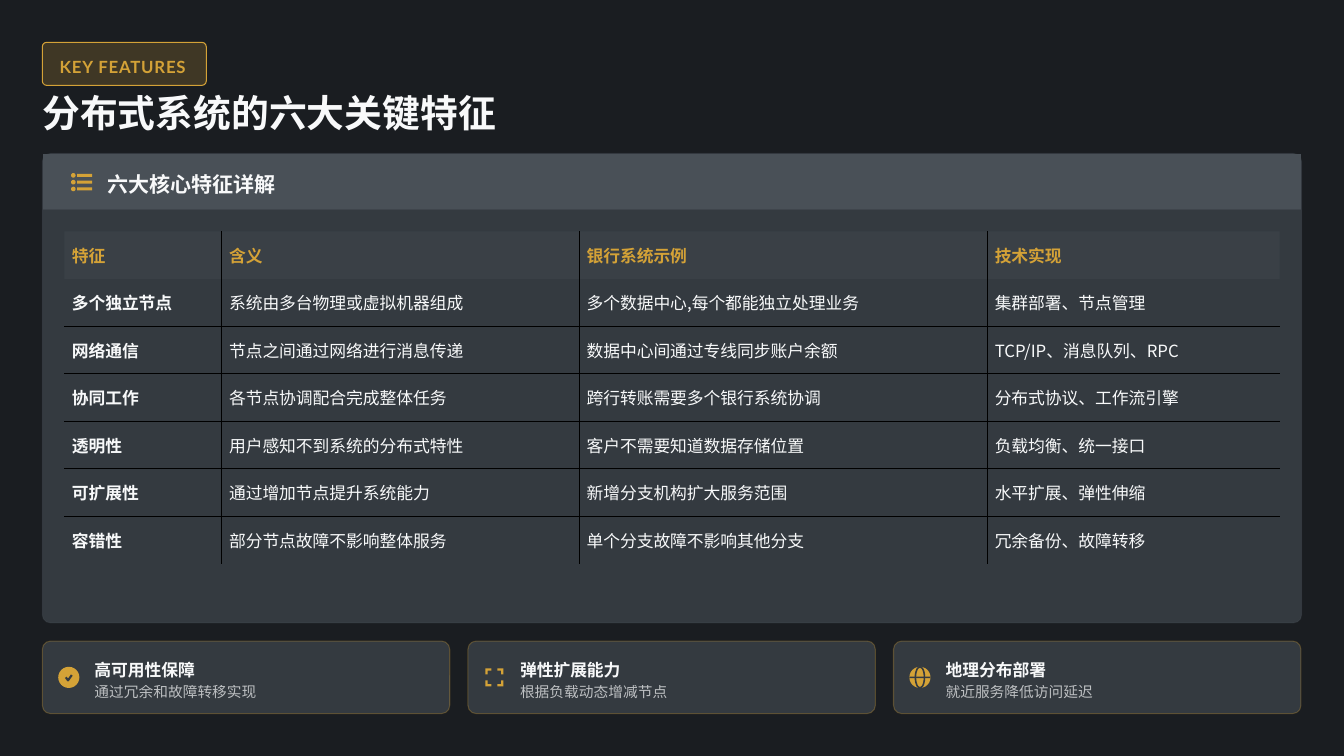
"""Build the slide on the six key features of distributed systems."""
from dataclasses import dataclass
from itertools import product
from math import cos, pi, sin
from typing import Callable

from lxml import etree
from pptx import Presentation
from pptx.dml.color import RGBColor
from pptx.enum.shapes import MSO_SHAPE
from pptx.enum.text import MSO_ANCHOR, MSO_AUTO_SIZE, PP_ALIGN
from pptx.oxml.ns import qn
from pptx.util import Inches, Pt

RECT, ROUND, OVAL = MSO_SHAPE.RECTANGLE, MSO_SHAPE.ROUNDED_RECTANGLE, MSO_SHAPE.OVAL
MIDDLE, LEFT, FIXED = MSO_ANCHOR.MIDDLE, PP_ALIGN.LEFT, MSO_AUTO_SIZE.NONE

DARK = RGBColor(0x1A, 0x1D, 0x21)
GOLD = RGBColor(0xD4, 0xA2, 0x37)
WHITE = RGBColor(0xF8, 0xF9, 0xFA)
PANEL = RGBColor(0x34, 0x3A, 0x40)
STEEL = RGBColor(0x49, 0x50, 0x57)

LATO = {"name": "Lato", "bold": True}
NOTO = {"name": "Noto Sans CJK SC", "size": Pt(16)}
FRAME = {"margin_left": 0, "margin_right": 0, "margin_top": 0, "margin_bottom": 0,
         "word_wrap": True, "auto_size": FIXED, "vertical_anchor": MIDDLE}

EDGE, GAP = 0.56, 5.63
COLS = (2.08, 4.73, 5.4, 3.87)
ROWS = (
    ("特征", "含义", "银行系统示例", "技术实现"),
    ("多个独立节点", "系统由多台物理或虚拟机器组成", "多个数据中心,每个都能独立处理业务", "集群部署、节点管理"),
    ("网络通信", "节点之间通过网络进行消息传递", "数据中心间通过专线同步账户余额", "TCP/IP、消息队列、RPC"),
    ("协同工作", "各节点协调配合完成整体任务", "跨行转账需要多个银行系统协调", "分布式协议、工作流引擎"),
    ("透明性", "用户感知不到系统的分布式特性", "客户不需要知道数据存储位置", "负载均衡、统一接口"),
    ("可扩展性", "通过增加节点提升系统能力", "新增分支机构扩大服务范围", "水平扩展、弹性伸缩"),
    ("容错性", "部分节点故障不影响整体服务", "单个分支故障不影响其他分支", "冗余备份、故障转移"),
)


@dataclass
class Card:
    head: str
    note: str
    icon: Callable


def apply(item, form: dict) -> None:
    for key, val in form.items():
        setattr(item, key, val)


def fade(node, share: int) -> None:
    for hue in node.iter(qn("a:srgbClr")):
        etree.SubElement(hue, qn("a:alpha"), val=str(share * 1000))


def paint(shape, hue=None, line=None, width: float = 1) -> None:
    shape.shadow.inherit = False
    if hue is None:
        shape.fill.background()
    else:
        shape.fill.solid()
        shape.fill.fore_color.rgb = hue
    if line is None:
        shape.line.fill.background()
    else:
        shape.line.color.rgb = line
        shape.line.width = Pt(width)


def box(slide, kind, x: float, y: float, w: float, h: float, hue=None, line=None,
        width: float = 1, curve: float = 0):
    shape = slide.shapes.add_shape(kind, Inches(x), Inches(y), Inches(w), Inches(h))
    if curve:
        shape.adjustments[0] = curve / min(w, h)
    paint(shape, hue, line, width)
    return shape


def trace(slide, loops: list, close: bool, *looks) -> None:
    first, *rest = [[(Inches(x), Inches(y)) for x, y in loop] for loop in loops]
    pen = slide.shapes.build_freeform(*first[0])
    pen.add_line_segments(first[1:], close)
    for loop in rest:
        pen.move_to(*loop[0])
        pen.add_line_segments(loop[1:], close)
    paint(pen.convert_to_shape(), *looks)


def write(shape, text: str, size: int, hue: RGBColor, space: float, **form):
    frame = shape.text_frame
    apply(frame, FRAME)
    para = frame.paragraphs[0]
    apply(para, {"alignment": LEFT, "line_spacing": space})
    run = para.add_run()
    run.text = text
    apply(run.font, {**LATO, "size": Pt(size), **form})
    run.font.color.rgb = hue
    return shape.element.find(".//" + qn("a:rPr"))


def label(slide, x: float, y: float, w: float, h: float, *words, **form):
    shape = slide.shapes.add_textbox(Inches(x), Inches(y), Inches(w), Inches(h))
    return write(shape, *words, **form)


def check(slide, x: float, y: float) -> None:
    box(slide, OVAL, x - 0.14, y - 0.14, 0.28, 0.28, GOLD)
    tick = [(x - 0.04, y), (x - 0.01, y + 0.04), (x + 0.04, y - 0.03)]
    trace(slide, [tick], False, None, PANEL, 2)


def expand(slide, x: float, y: float) -> None:
    angle = ((0.04, 0.12), (0.12, 0.12), (0.12, 0.04), (0.09, 0.04), (0.09, 0.09), (0.04, 0.09))
    loops = [[(x + i * a, y + j * b) for a, b in angle]
             for i, j in product((-1, 1), repeat=2)]
    trace(slide, loops, True, GOLD)


def globe(slide, x: float, y: float) -> None:
    box(slide, OVAL, x - 0.14, y - 0.14, 0.28, 0.28, GOLD)
    box(slide, OVAL, x - 0.06, y - 0.14, 0.12, 0.28, line=PANEL, width=1.5)
    box(slide, RECT, x - 0.14, y - 0.01, 0.28, 0.02, PANEL)


def bullets(slide, x: float, y: float) -> None:
    loops = []
    for row in range(3):
        mid = y + 0.09 * row
        turns = [pi * step / 8 for step in range(16)]
        loops.append([(x + 0.03 + 0.03 * cos(turn), mid + 0.03 * sin(turn)) for turn in turns])
        loops.append([(x + 0.08, mid - 0.02), (x + 0.28, mid - 0.02),
                      (x + 0.28, mid + 0.02), (x + 0.08, mid + 0.02)])
    trace(slide, loops, True, GOLD)


def edges(cell, row: int, col: int) -> None:
    last = len(ROWS) - 1
    shown = {"lnL": col > 0, "lnR": col < len(COLS) - 1, "lnT": row > 1, "lnB": 0 < row < last}
    props = cell.get_or_add_tcPr()
    for spot, (tag, seen) in enumerate(shown.items()):
        line = etree.Element(qn("a:" + tag), w=str(Pt(1)))
        if seen:
            fill = etree.SubElement(line, qn("a:solidFill"))
            etree.SubElement(fill, qn("a:srgbClr"), val="000000")
        else:
            etree.SubElement(line, qn("a:noFill"))
        props.insert(spot, line)


def grid(slide) -> None:
    frame = slide.shapes.add_table(len(ROWS), len(COLS), Inches(0.85), Inches(3.06),
                                   Inches(sum(COLS)), Inches(4.4))
    table = frame.table
    for col, width in zip(table.columns, COLS):
        col.width = Inches(width)
    nodes = frame.element.iter(qn("a:tc"))
    for (row, col), node in zip(product(range(len(ROWS)), range(len(COLS))), nodes):
        cell = table.cell(row, col)
        cell.vertical_anchor = MIDDLE
        run = cell.text_frame.paragraphs[0].add_run()
        run.text = ROWS[row][col]
        apply(run.font, {**NOTO, "bold": row == 0 or col == 0})
        run.font.color.rgb = WHITE if row else GOLD
        if row:
            cell.fill.background()
        else:
            cell.fill.solid()
            cell.fill.fore_color.rgb = STEEL
            fade(node.tcPr, 30)
        edges(node, row, col)


def tile(slide, card: Card, x: float) -> None:
    shape = box(slide, ROUND, x, 8.48, 5.39, 0.96, PANEL, GOLD, curve=0.11)
    fade(shape.element.spPr.find(qn("a:ln")), 30)
    card.icon(slide, x + 0.35, 8.96)
    label(slide, x + 0.69, 8.65, 2.25, 0.33, card.head, 16, WHITE, 1.3)
    fade(label(slide, x + 0.69, 8.99, 2.24, 0.28, card.note, 14, WHITE, 1.2, bold=False), 70)


def main() -> None:
    deck = Presentation()
    apply(deck, {"slide_width": Inches(17.78), "slide_height": Inches(10)})
    slide = deck.slides.add_slide(deck.slide_layouts[5])
    slide.background.fill.solid()
    slide.background.fill.fore_color.rgb = DARK

    badge = box(slide, ROUND, EDGE, EDGE, 2.17, 0.57, GOLD, GOLD, curve=0.06)
    fade(badge.element.spPr.find(qn("a:solidFill")), 20)
    label(slide, 0.79, 0.7, 1.82, 0.29, "KEY FEATURES", 16, GOLD, 1.3).set("spc", "80")
    title = slide.shapes.title
    apply(title, {"left": Inches(EDGE), "top": Inches(1.25),
                  "width": Inches(16.92), "height": Inches(0.56)})
    write(title, "分布式系统的六大关键特征", 36, WHITE, 0.9)

    panel = box(slide, ROUND, EDGE, 2.03, 16.66, 6.21, PANEL, STEEL, curve=0.11)
    fade(panel.element.spPr.find(qn("a:ln")), 30)
    box(slide, RECT, 0.57, 2.04, 16.64, 0.73, STEEL)
    fade(box(slide, RECT, 0.57, 2.77, 16.64, 0.01, STEEL).element.spPr, 50)
    bullets(slide, 0.94, 2.32)
    label(slide, 1.42, 2.21, 15.6, 0.39, "六大核心特征详解", 20, WHITE, 1.2)
    grid(slide)

    cards = (Card("高可用性保障", "通过冗余和故障转移实现", check),
             Card("弹性扩展能力", "根据负载动态增减节点", expand),
             Card("地理分布部署", "就近服务降低访问延迟", globe))
    for spot, card in enumerate(cards):
        tile(slide, card, EDGE + GAP * spot)
    deck.save("out.pptx")


if __name__ == "__main__":
    main()
